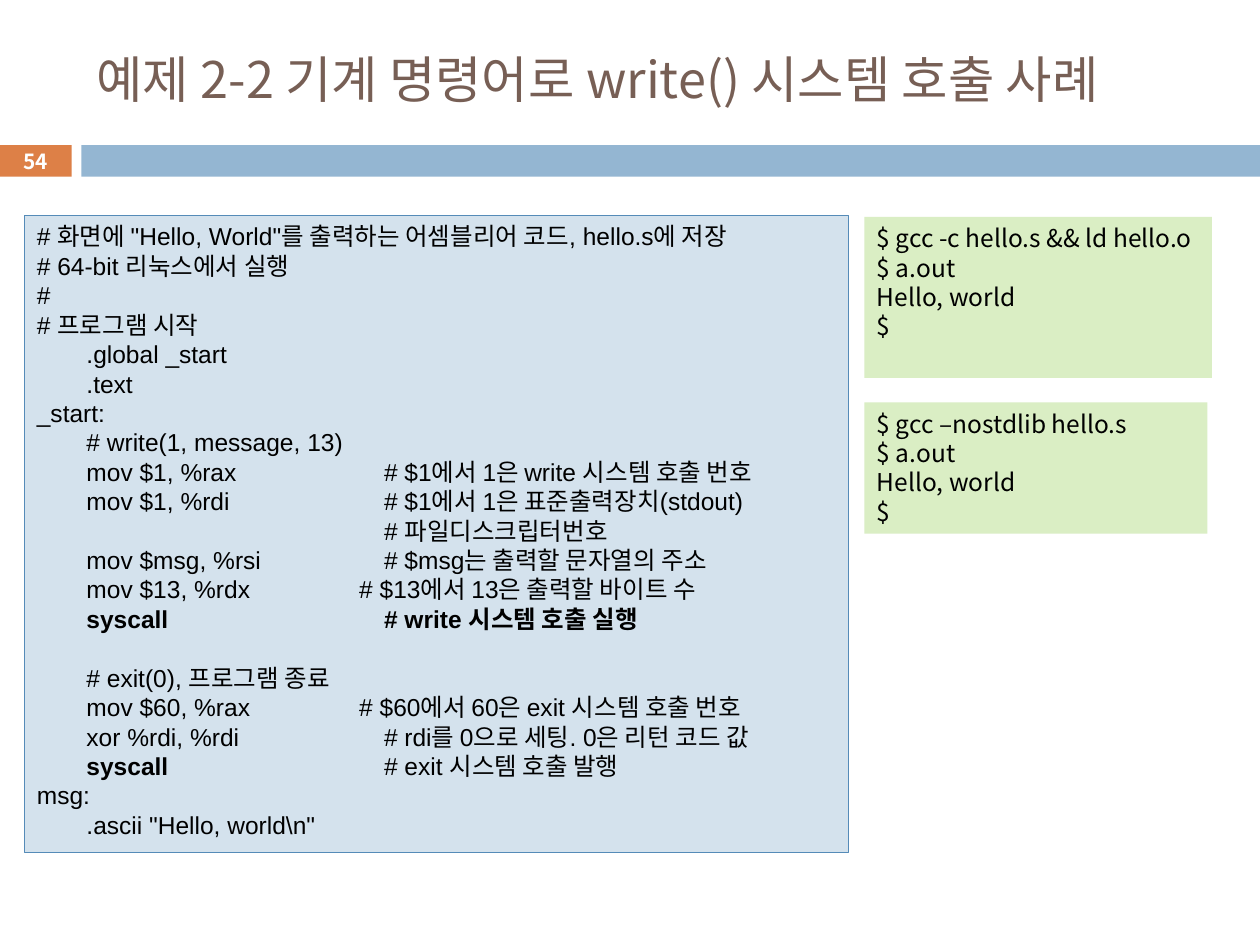
from dataclasses import dataclass

import pptx
import pptx.dml.color
import pptx.enum.shapes
import pptx.enum.text
import pptx.oxml.ns
import pptx.util
from lxml import etree

Pt = pptx.util.Pt
PP_ALIGN = pptx.enum.text.PP_ALIGN
ANCHOR = pptx.enum.text.MSO_ANCHOR

KOREAN_FONT = "Noto Sans CJK KR"
CODE_FONT = "Arial"
LINE_PITCH = 16.8
TAB = 14.17  # half a centimetre
INDENT_STOP = 2 * TAB
COMMENT_STOP = 14 * TAB
NEAR_COMMENT_STOP = 13 * TAB


@dataclass(frozen=True)
class Run:
    text: str
    bold: bool = False


@dataclass(frozen=True)
class Line:
    runs: tuple[Run, ...]
    comment_stop: float = COMMENT_STOP
    space_before: float = 0


@dataclass(frozen=True)
class Panel:
    left: float
    top: float
    width: float
    height: float
    fill: str
    font: str
    lines: tuple[Line, ...]
    border: str = ""


def plain(text: str, comment_stop: float = COMMENT_STOP, space_before: float = 0) -> Line:
    return Line((Run(text),), comment_stop, space_before)


def color(hex_code: str) -> pptx.dml.color.RGBColor:
    return pptx.dml.color.RGBColor.from_string(hex_code)


def add_bar(slide, left: float, top: float, width: float, height: float,
            fill: str, border: str = ""):
    bar = slide.shapes.add_shape(
        pptx.enum.shapes.MSO_SHAPE.RECTANGLE, Pt(left), Pt(top), Pt(width), Pt(height))
    bar.shadow.inherit = False
    bar.fill.solid()
    bar.fill.fore_color.rgb = color(fill)
    if border:
        bar.line.color.rgb = color(border)
        bar.line.width = Pt(0.75)
    else:
        bar.line.fill.background()
    return bar


def add_run(paragraph, content: Run, font: str, size: float, hex_code: str) -> None:
    run = paragraph.add_run()
    run.text = content.text
    run.font.name = font
    run.font.size = Pt(size)
    run.font.bold = content.bold
    run.font.color.rgb = color(hex_code)
    properties = run.font._element
    east_asian = etree.SubElement(properties, pptx.oxml.ns.qn("a:ea"))
    east_asian.set("typeface", KOREAN_FONT)


def add_tab_stops(paragraph, stops: tuple[float, ...]) -> None:
    properties = paragraph._p.get_or_add_pPr()
    tab_list = etree.SubElement(properties, pptx.oxml.ns.qn("a:tabLst"))
    for stop in stops:
        tab = etree.SubElement(tab_list, pptx.oxml.ns.qn("a:tab"))
        tab.set("pos", str(int(Pt(stop))))
        tab.set("algn", "l")


def add_panel(slide, panel: Panel) -> None:
    box = add_bar(slide, panel.left, panel.top, panel.width, panel.height,
                  panel.fill, panel.border)
    frame = box.text_frame
    frame.word_wrap = True
    frame.vertical_anchor = ANCHOR.TOP
    for number, line in enumerate(panel.lines):
        paragraph = frame.add_paragraph() if number else frame.paragraphs[0]
        if any("\t" in run.text for run in line.runs):
            add_tab_stops(paragraph, (INDENT_STOP, line.comment_stop))
        paragraph.alignment = PP_ALIGN.LEFT
        paragraph.line_spacing = Pt(LINE_PITCH)
        if line.space_before:
            paragraph.space_before = Pt(line.space_before)
        for run in line.runs:
            add_run(paragraph, run, panel.font, 14, "000000")


def add_title(slide, text: str) -> None:
    title = slide.shapes.title
    title.left, title.top, title.width, title.height = Pt(48), Pt(18), Pt(642), Pt(53)
    frame = title.text_frame
    frame.auto_size = pptx.enum.text.MSO_AUTO_SIZE.NONE
    frame.word_wrap = True
    frame.vertical_anchor = ANCHOR.MIDDLE
    frame.paragraphs[0].alignment = PP_ALIGN.LEFT
    add_run(frame.paragraphs[0], Run(text), KOREAN_FONT, 28.8, "775F55")


def add_page_band(slide, page: str) -> None:
    page_box = add_bar(slide, -0.5, 83, 41.5, 18, "DD8047")
    add_bar(slide, 46.5, 83, 673.5, 18, "94B6D2")
    frame = page_box.text_frame
    frame.margin_top = frame.margin_bottom = 0
    frame.vertical_anchor = ANCHOR.MIDDLE
    frame.paragraphs[0].alignment = PP_ALIGN.CENTER
    add_run(frame.paragraphs[0], Run(page, bold=True), KOREAN_FONT, 11.9, "FFFFFF")


ASSEMBLY = (
    plain('# 화면에 "Hello, World"를 출력하는 어셈블리어 코드, hello.s에 저장'),
    plain("# 64-bit 리눅스에서 실행"),
    plain("#"),
    plain("# 프로그램 시작"),
    plain("\t.global _start"),
    plain("\t.text"),
    plain("_start:"),
    plain("\t# write(1, message, 13)"),
    plain("\tmov $1, %rax\t# $1에서 1은 write 시스템 호출 번호"),
    plain("\tmov $1, %rdi\t# $1에서 1은 표준출력장치(stdout)"),
    plain("\t\t# 파일디스크립터번호"),
    plain("\tmov $msg, %rsi\t# $msg는 출력할 문자열의 주소"),
    plain("\tmov $13, %rdx\t# $13에서 13은 출력할 바이트 수", NEAR_COMMENT_STOP),
    Line((Run("\t"), Run("syscall\t# write 시스템 호출 실행", bold=True))),
    plain("\t# exit(0), 프로그램 종료", space_before=LINE_PITCH),
    plain("\tmov $60, %rax\t# $60에서 60은 exit 시스템 호출 번호", NEAR_COMMENT_STOP),
    plain("\txor %rdi, %rdi\t# rdi를 0으로 세팅. 0은 리턴 코드 값"),
    Line((Run("\t"), Run("syscall", bold=True), Run("\t# exit 시스템 호출 발행"))),
    plain("msg:"),
    plain('\t.ascii "Hello, world\\n"'),
)


def session(command: str) -> tuple[Line, ...]:
    """Lines of a terminal session that builds with command and runs the result."""
    return tuple(plain(text) for text in (command, "$ a.out", "Hello, world", "$"))


PANELS = (
    Panel(14, 123, 471, 364, "D4E2ED", CODE_FONT, ASSEMBLY, border="558BB8"),
    Panel(494, 124, 198.5, 92, "DAEEC4", KOREAN_FONT,
          session("$ gcc -c hello.s && ld hello.o")),
    Panel(494, 230, 196, 75, "DAEEC4", KOREAN_FONT,
          session("$ gcc –nostdlib hello.s")),
)


def main() -> None:
    deck = pptx.Presentation()
    deck.slide_width, deck.slide_height = Pt(720), Pt(540)
    slide = deck.slides.add_slide(deck.slide_layouts.get_by_name("Title Only"))
    add_page_band(slide, "54")
    add_title(slide, "예제 2-2 기계 명령어로 write() 시스템 호출 사례")
    for panel in PANELS:
        add_panel(slide, panel)
    deck.save("out.pptx")


if __name__ == "__main__":
    main()
